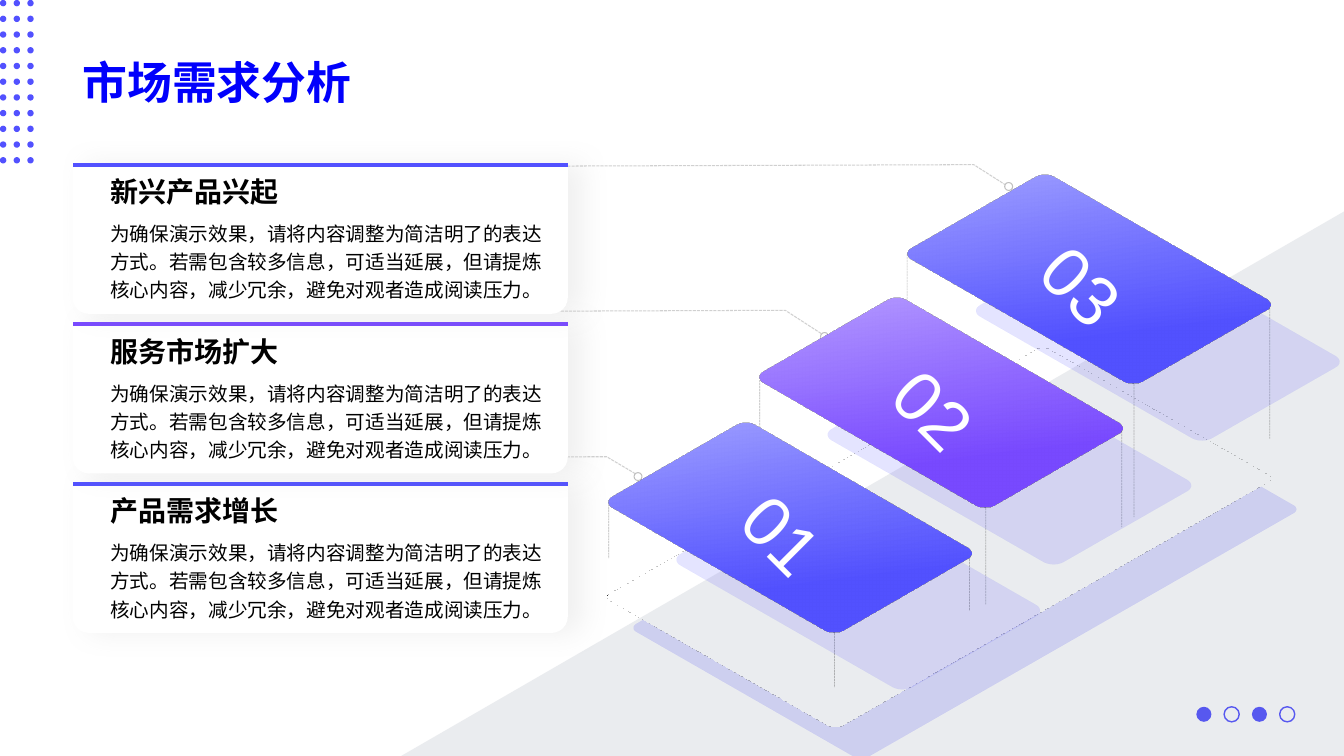
"""Build the market demand slide with three isometric tiles and three cards."""
from itertools import product
from math import cos, pi, sin

from lxml.etree import SubElement
from pptx import Presentation
from pptx.dml.color import RGBColor
from pptx.enum.dml import MSO_LINE
from pptx.enum.shapes import MSO_CONNECTOR, MSO_SHAPE
from pptx.enum.text import MSO_ANCHOR, PP_ALIGN
from pptx.oxml.ns import qn
from pptx.util import Cm, Pt

BLUE, PURPLE, WHITE = "5251FF", "7849FF", "FFFFFF"
BODY = ("为确保演示效果，请将内容调整为简洁明了的表达方式。若需包含较多信息，"
        "可适当延展，但请提炼核心内容，减少冗余，避免对观者造成阅读压力。")


def paint(sp, fill=None, line=None, width=0.75, alpha=None, dash=None, shadow=None, camera=None):
    """Set fill, line, opacity, shadow and camera of a shape or connector."""
    spPr = sp._element.spPr
    if fill and len(fill) == 2:
        sp.fill.gradient()
        sp.fill.gradient_angle = 330
        for stop, color, position in zip(sp.fill.gradient_stops, fill, (0, 0.79)):
            stop.color.rgb = RGBColor.from_string(color)
            stop.position = position
    elif fill:
        sp.fill.solid()
        sp.fill.fore_color.rgb = RGBColor.from_string(fill)
    elif hasattr(sp, "fill"):
        sp.fill.background()
    if line:
        sp.line.color.rgb = RGBColor.from_string(line)
        sp.line.width = Pt(width)
        sp.line.dash_style = dash
    else:
        sp.line.fill.background()
    if alpha:
        clr = next(spPr.iter(qn("a:srgbClr")))
        SubElement(clr, qn("a:alpha"), val=str(alpha * 1000))
    effects = SubElement(spPr, qn("a:effectLst"))
    if shadow:
        color, opacity, blur, dist, angle = shadow
        outer = SubElement(effects, qn("a:outerShdw"), blurRad=str(Pt(blur)), dist=str(Pt(dist)),
                           dir=str(angle * 60000), algn="ctr", rotWithShape="0")
        clr = SubElement(outer, qn("a:srgbClr"), val=color)
        SubElement(clr, qn("a:alpha"), val=str(opacity * 1000))
    if camera:
        scene = SubElement(spPr, qn("a:scene3d"))
        SubElement(scene, qn("a:camera"), prst=camera)
        SubElement(scene, qn("a:lightRig"), rig="threePt", dir="t")


def write(sp, text, size, color, bold=False, anchor=MSO_ANCHOR.TOP, align=PP_ALIGN.LEFT):
    """Put one run of text into a shape."""
    tf = sp.text_frame
    tf.word_wrap = True
    tf.vertical_anchor = anchor
    p = tf.paragraphs[0]
    p.alignment = align
    p.line_spacing = 1.2
    r = p.add_run()
    r.text = text
    r.font.name = "Arial"
    r.font.size = Pt(size)
    r.font.bold = bold
    r.font.color.rgb = RGBColor.from_string(color)


prs = Presentation()
prs.slide_width, prs.slide_height = Cm(33.87), Cm(19.05)
s = prs.slides.add_slide(prs.slide_layouts[6])
shapes = s.shapes

for i in range(4):
    sp = shapes.add_shape(MSO_SHAPE.OVAL, Cm(30.15 + 0.7 * i), Cm(17.81), Cm(0.38), Cm(0.38))
    paint(sp, WHITE if i % 2 else BLUE, BLUE if i % 2 else None, 1)

fb = shapes.build_freeform(Cm(0.16), Cm(0.08))
for row, col in product(range(11), range(3)):
    x, y = 0.08 + 0.345 * col, 0.08 + 0.396 * row
    rim = [(Cm(x + 0.08 * cos(k * pi / 8)), Cm(y + 0.08 * sin(k * pi / 8))) for k in range(16)]
    if row or col:
        fb.move_to(*rim[0])
    fb.add_line_segments(rim[1:])
paint(fb.convert_to_shape(), BLUE)

title = shapes.add_textbox(Cm(1.83), Cm(0.36), Cm(30.18), Cm(2.49))
write(title, "市场需求分析", 32, "0100FC", True, MSO_ANCHOR.BOTTOM)

base = shapes.add_shape(MSO_SHAPE.ROUNDED_RECTANGLE, Cm(19.53), Cm(5.72), Cm(8.26), Cm(15.65))
base.adjustments[0] = 0.03
paint(base, WHITE, shadow=(BLUE, 10, 5, 29, 50), camera="isometricTopDown")

fb = shapes.build_freeform(Cm(33.87), Cm(5.33))
fb.add_line_segments([(Cm(33.87), Cm(19.05)), (Cm(10.11), Cm(19.05))])
paint(fb.convert_to_shape(), "778495", alpha=15)

for x, top, bottom in [
    (15.34, 12.7, 14.07), (21.03, 15.95, 17.32), (24.43, 14.02, 15.39),
    (24.84, 12.8, 15.24), (28.27, 10.87, 13.28), (28.58, 9.68, 13.03),
    (32, 7.7, 11.05), (19.15, 9.58, 11.99), (22.86, 6.4, 8.81),
]:
    post = shapes.add_connector(MSO_CONNECTOR.STRAIGHT, Cm(x), Cm(top), Cm(x), Cm(bottom))
    paint(post, line="808080", width=0.5, alpha=55, dash=MSO_LINE.SQUARE_DOT)

steps = [
    ("01", "产品需求增长", "9797FF", BLUE, (15.77, 10.74), (15.98, 11.91),
     [(16.1, 11.99), (15.29, 11.51), (1.88, 11.53)]),
    ("02", "服务市场扩大", "AE92FF", PURPLE, (19.58, 7.59), (20.68, 8.38),
     [(20.78, 8.46), (19.79, 7.82), (6.38, 7.87)]),
    ("03", "新兴产品兴起", "9797FF", BLUE, (23.32, 4.47), (25.32, 4.6),
     [(25.53, 4.78), (24.54, 4.15), (9.96, 4.2)]),
]
for i, (number, heading, light, color, tile_at, ring_at, leader) in enumerate(steps):
    points = [(Cm(x), Cm(y)) for x, y in leader]
    fb = shapes.build_freeform(*points[0])
    fb.add_line_segments(points[1:], close=False)
    paint(fb.convert_to_shape(), line="808080", alpha=37, dash=MSO_LINE.SQUARE_DOT)

    ring = shapes.add_shape(MSO_SHAPE.OVAL, Cm(ring_at[0]), Cm(ring_at[1]), Cm(0.2), Cm(0.2))
    paint(ring, WHITE, "BFBFBF")

    tile = shapes.add_shape(MSO_SHAPE.ROUNDED_RECTANGLE, Cm(tile_at[0]), Cm(tile_at[1]), Cm(8.26), Cm(5.11))
    tile.adjustments[0] = 0.07
    paint(tile, (light, color), shadow=(BLUE, 7, 21, 64, 40), camera="isometricTopDown")
    write(tile, number, 50, WHITE, anchor=MSO_ANCHOR.MIDDLE, align=PP_ALIGN.CENTER)

    y = 12.19 - 4.02 * i
    card = shapes.add_shape(MSO_SHAPE.ROUND_2_SAME_RECTANGLE, Cm(1.83), Cm(y), Cm(12.48), Cm(3.76))
    card.adjustments[0], card.adjustments[1] = 0, 0.11
    paint(card, WHITE, shadow=("B4B4B4", 20, 20, 10, 0))
    edge = shapes.add_connector(MSO_CONNECTOR.STRAIGHT, Cm(1.85), Cm(y), Cm(14.31), Cm(y))
    paint(edge, line=color, width=2.75)
    sp = shapes.add_textbox(Cm(2.53), Cm(y), Cm(11.4), Cm(1.22))
    write(sp, heading, 20, "000000", True, MSO_ANCHOR.BOTTOM)
    sp = shapes.add_textbox(Cm(2.53), Cm(y + 1.2), Cm(11.81), Cm(2.46))
    write(sp, BODY, 14, "000000")

prs.save("out.pptx")
